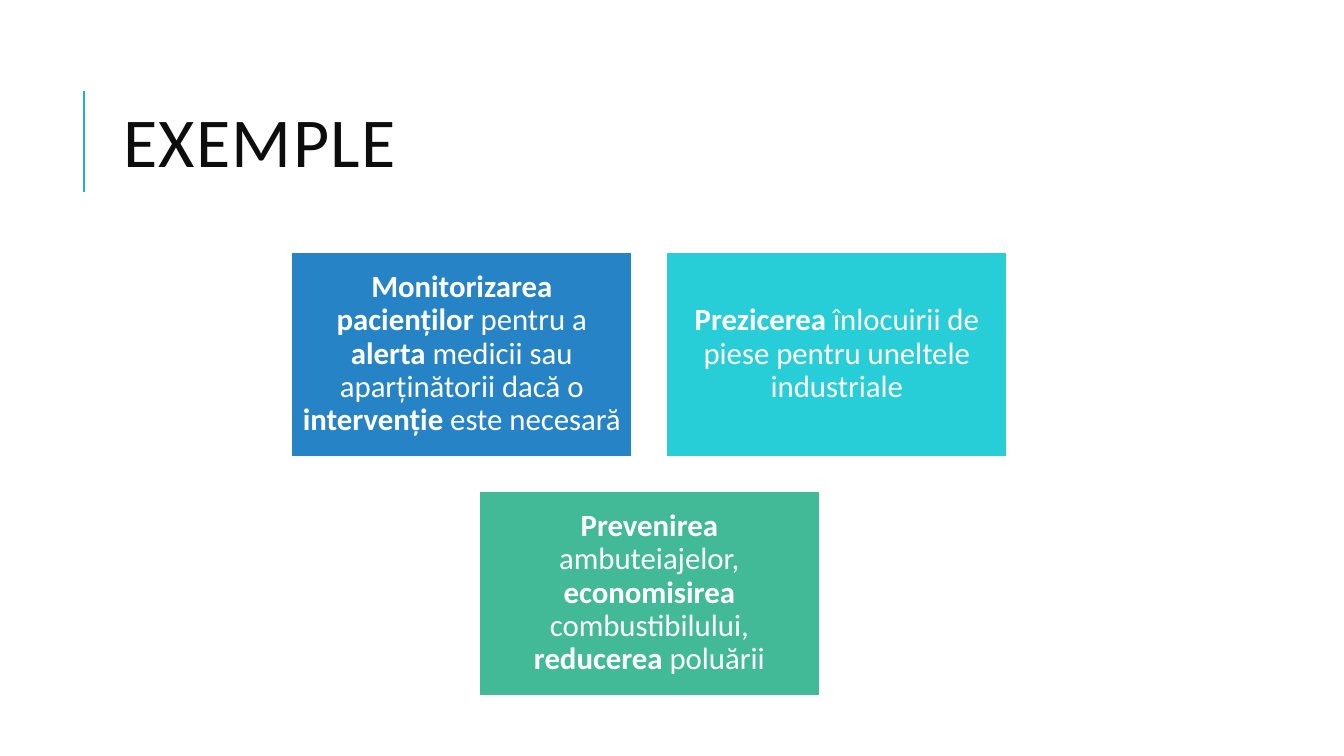
from lxml import etree
from pptx import Presentation
from pptx.dml.color import RGBColor
from pptx.enum.shapes import MSO_CONNECTOR, MSO_SHAPE
from pptx.enum.text import MSO_ANCHOR, MSO_AUTO_SIZE, PP_ALIGN
from pptx.oxml.ns import qn
from pptx.util import Inches, Pt

WHITE = RGBColor(0xFF, 0xFF, 0xFF)
NEAR_BLACK = RGBColor(0x0D, 0x0D, 0x0D)
ACCENT = RGBColor(0x1C, 0xAD, 0xE4)
BLUE = RGBColor(0x26, 0x83, 0xC6)
TURQUOISE = RGBColor(0x27, 0xCE, 0xD7)
GREEN = RGBColor(0x42, 0xBA, 0x97)
FONT = "Calibri"

presentation = Presentation()
presentation.slide_width = Inches(13.33)
presentation.slide_height = Inches(7.5)
slide = presentation.slides.add_slide(presentation.slide_layouts[5])

# Accent line beside the title
accent_line = slide.shapes.add_connector(
    MSO_CONNECTOR.STRAIGHT, Inches(0.83), Inches(1.9), Inches(0.83), Inches(0.9))
accent_line.line.color.rgb = ACCENT
accent_line.line.width = Pt(1.5)
etree.SubElement(accent_line._element.spPr, qn("a:effectLst"))

# Title
title = slide.shapes.title
title.left, title.top = Inches(1.12), Inches(0.64)
title.width, title.height = Inches(10.63), Inches(1.64)
title.text_frame.text = "EXEMPLE"
title.text_frame.auto_size = MSO_AUTO_SIZE.NONE
title.text_frame.vertical_anchor = MSO_ANCHOR.MIDDLE
paragraph = title.text_frame.paragraphs[0]
paragraph.alignment = PP_ALIGN.LEFT
paragraph.line_spacing = 0.8
paragraph.font.name = FONT
paragraph.font.size = Pt(50)
paragraph.font.color.rgb = NEAR_BLACK
paragraph.runs[0].font._element.set("spc", "100")

# Example cards: two on top, one centred below; runs alternate bold and regular
CARD_WIDTH, CARD_HEIGHT, GAP = 3.38, 2.03, 0.34
LEFT, TOP = 2.89, 2.5
STEP_X, STEP_Y = CARD_WIDTH + GAP, CARD_HEIGHT + GAP
cards = [
    (0, 0, BLUE, ["Monitorizarea pacienților ", "pentru a", " alerta ",
                  "medicii sau aparținătorii dacă o ", "intervenție ", "este necesară"]),
    (1, 0, TURQUOISE, ["Prezicerea ", "înlocuirii de piese pentru uneltele industriale"]),
    (0.5, 1, GREEN, ["Prevenirea ", "ambuteiajelor, ", "economisirea ",
                     "combustibilului, ", "reducerea ", "poluării"]),
]
for column, row, color, texts in cards:
    card = slide.shapes.add_shape(
        MSO_SHAPE.RECTANGLE, Inches(LEFT + column * STEP_X), Inches(TOP + row * STEP_Y),
        Inches(CARD_WIDTH), Inches(CARD_HEIGHT))
    card.shadow.inherit = False
    card.fill.solid()
    card.fill.fore_color.rgb = color
    card.line.color.rgb = WHITE
    card.line.width = Pt(1.25)

    frame = card.text_frame
    frame.word_wrap = True
    frame.vertical_anchor = MSO_ANCHOR.MIDDLE
    frame.margin_left = frame.margin_right = Inches(0.09)
    frame.margin_top = frame.margin_bottom = Inches(0.09)
    paragraph = frame.paragraphs[0]
    paragraph.alignment = PP_ALIGN.CENTER
    paragraph.line_spacing = 0.9
    paragraph.font.name = FONT
    paragraph.font.size = Pt(22)
    paragraph.font.color.rgb = WHITE
    for index, text in enumerate(texts):
        run = paragraph.add_run()
        run.text = text
        run.font.bold = index % 2 == 0

presentation.save("out.pptx")
